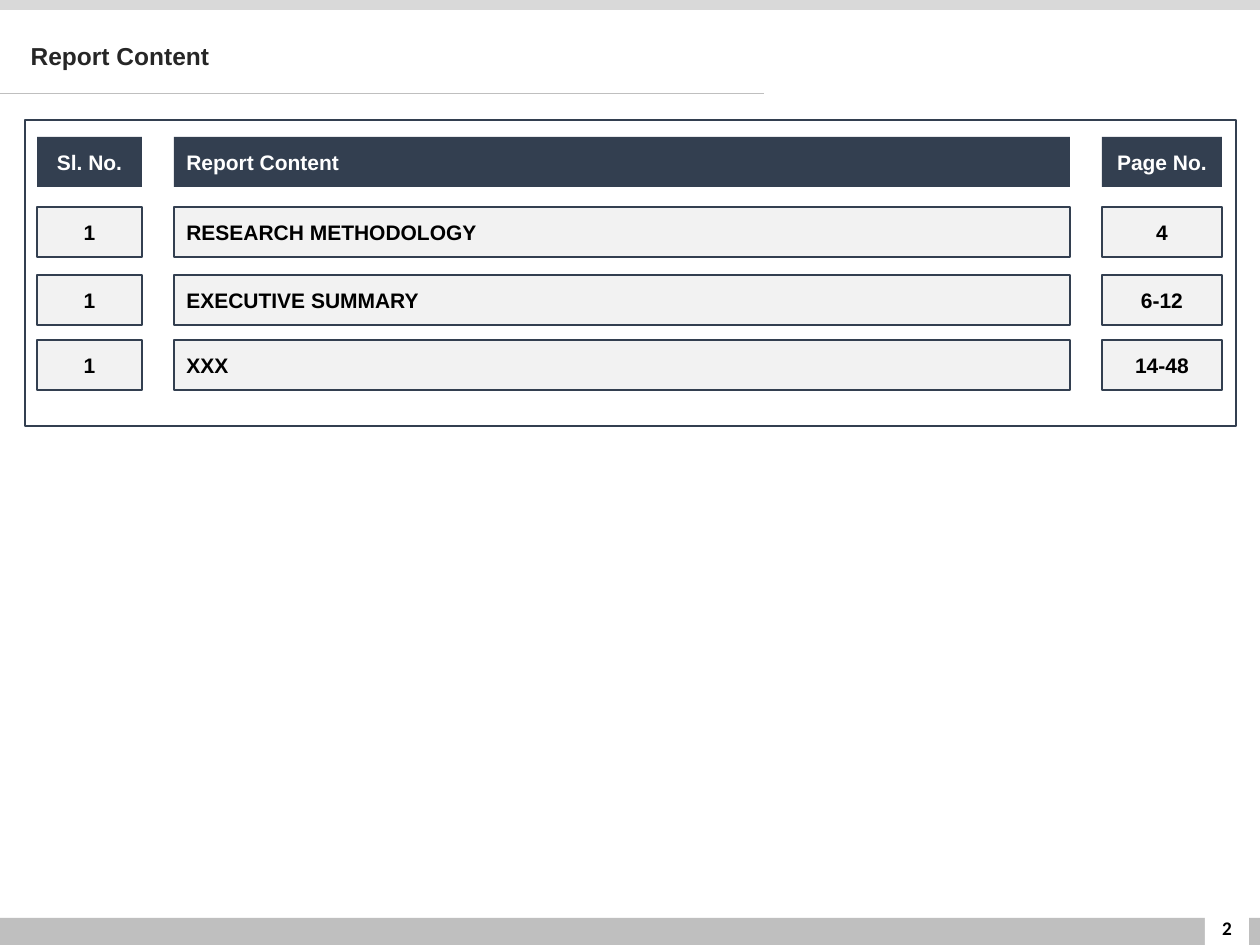
from pptx import Presentation
from pptx.dml.color import RGBColor
from pptx.enum.shapes import MSO_CONNECTOR, MSO_SHAPE
from pptx.enum.text import MSO_ANCHOR, PP_ALIGN
from pptx.oxml.ns import qn
from pptx.util import Pt
from lxml import etree

RECT = MSO_SHAPE.RECTANGLE
LEFT, CENTER = PP_ALIGN.LEFT, PP_ALIGN.CENTER
MIDDLE = MSO_ANCHOR.MIDDLE

# Content
TITLE = "Report Content"
PAGE = "2"
HEADER = ("Sl. No.", "Report Content", "Page No.")
ROWS = [
    (207, ("1", "RESEARCH METHODOLOGY", "4")),
    (275, ("1", "EXECUTIVE SUMMARY", "6-12")),
    (340, ("1", "XXX", "14-48")),
]

# Layout in px: left, width, alignment of each column
COLUMNS = [(37, 105, CENTER), (174, 896, LEFT), (1102, 120, CENTER)]
HEADER_TOP, ROW_H = 137, 50
COLORS = {
    "navy": "333F50", "cell": "F2F2F2", "footer": "BFBFBF", "band": "D9D9D9",
    "title": "262626", "white": "FFFFFF", "black": "000000",
}
PX = 914400 // 126


def px(*lengths):
    return [n * PX for n in lengths]


def rgb(name):
    return RGBColor.from_string(COLORS[name])


def add_rect(box, fill=None, line=None, width=1):
    sp = s.shapes.add_shape(RECT, *px(*box))
    sp.shadow.inherit = False
    if fill:
        sp.fill.solid()
        sp.fill.fore_color.rgb = rgb(fill)
    else:
        sp.fill.background()
    if line:
        sp.line.color.rgb = rgb(line)
        sp.line.width = Pt(width)
    else:
        sp.line.fill.background()
    return sp


def set_text(sp, text, size, color, align=LEFT, font="Arial"):
    tf = sp.text_frame
    tf.word_wrap = True
    tf.vertical_anchor = MIDDLE
    p = tf.paragraphs[0]
    p.text = text
    p.alignment = align
    p.font.name, p.font.size, p.font.bold = font, Pt(size), True
    p.font.color.rgb = rgb(color)
    return p


def add_row(top, texts, fill, color, line=None):
    for (left, width, align), text in zip(COLUMNS, texts):
        sp = add_rect((left, top, width, ROW_H), fill, line)
        set_text(sp, text, 12, color, align)


prs = Presentation()
prs.slide_width, prs.slide_height = px(1260, 945)
s = prs.slides.add_slide(prs.slide_layouts[5])

# Top band, footer and page number
add_rect((0, 918, 1260, 27), "footer")
add_rect((0, 0, 1260, 10), "band")
add_rect((1205, 898, 44, 47), "white")
number = s.shapes.add_textbox(*px(1196, 903, 62, 50))
set_text(number, PAGE, 11, "black", CENTER, "Calibri")

# Title and rule below it
title = s.shapes.title
title.left, title.top, title.width, title.height = px(18, 26, 1084, 63)
set_text(title, TITLE, 14, "title").line_spacing = 0.9
rule = s.shapes.add_connector(MSO_CONNECTOR.STRAIGHT, *px(0, 93, 764, 93))
rule.line.color.rgb = rgb("footer")
rule.line.width = Pt(0.5)
etree.SubElement(rule._element.spPr, qn("a:effectLst"))

# Frame and content rows
add_rect((25, 120, 1211, 306), line="navy", width=1.5)
add_row(HEADER_TOP, HEADER, "navy", "white")
for top, texts in ROWS:
    add_row(top, texts, "cell", "black", "navy")

prs.save("out.pptx")
